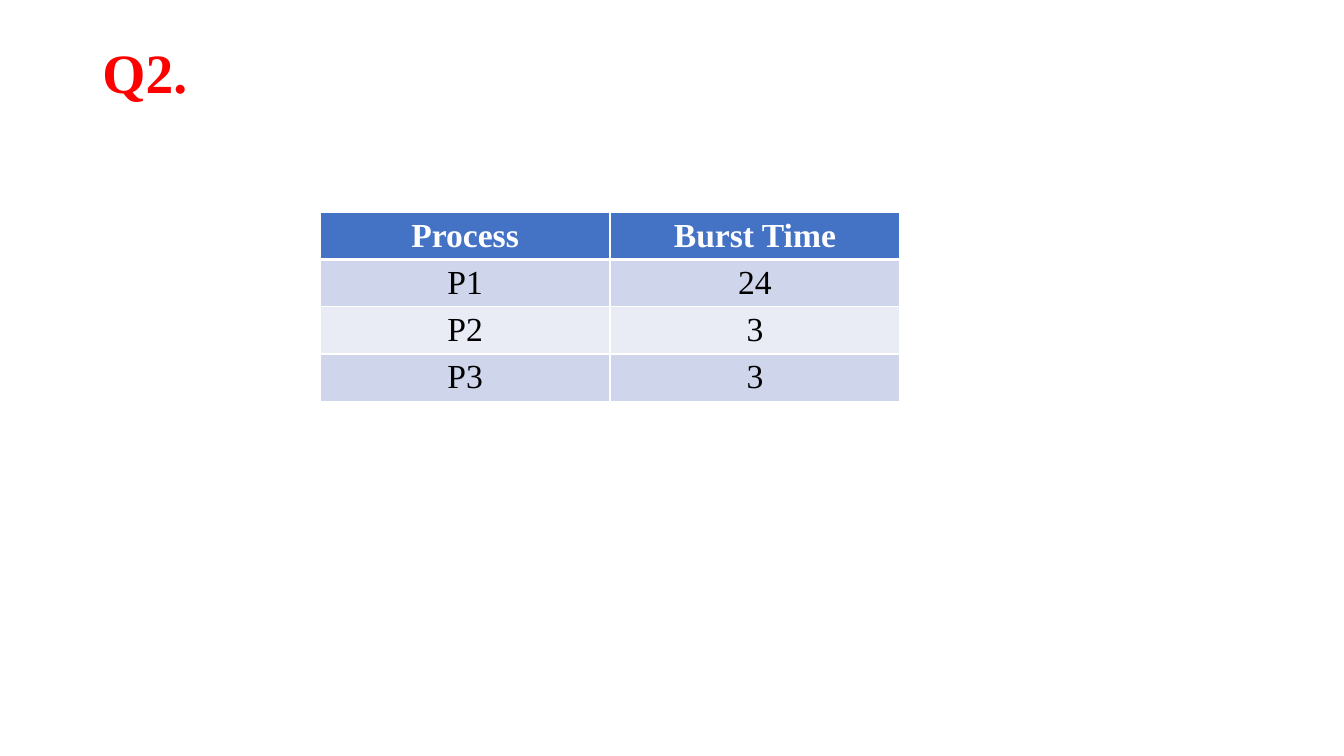
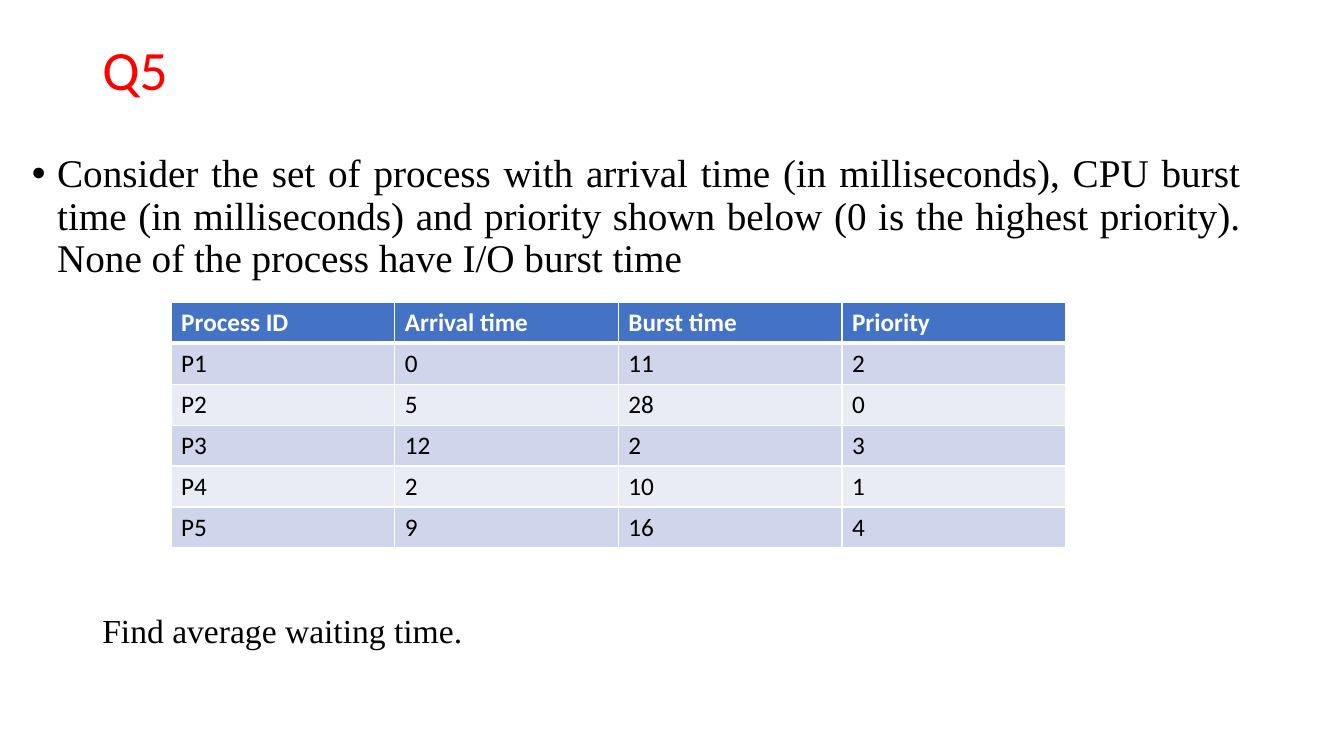
from dataclasses import dataclass

from lxml.etree import SubElement
from pptx import Presentation
from pptx.dml.color import RGBColor
from pptx.enum.text import MSO_ANCHOR, MSO_AUTO_SIZE, PP_ALIGN
from pptx.oxml.ns import qn
from pptx.util import Pt

PX = 9525  # EMU in one px, 96 px to the inch


@dataclass(frozen=True)
class Theme:
    serif: str = "Times New Roman"
    sans: str = "Calibri"
    title: str = "FF0000"
    text: str = "000000"
    header: str = "4472C4"
    header_text: str = "FFFFFF"
    rule: str = "FFFFFF"
    bands: tuple = ("CFD5EA", "E9EBF5")
    title_size: float = 39.6
    body_size: int = 28
    large_size: int = 24
    small_size: int = 18


T = Theme()


def write(tf, text, color, para=None, **font):
    """Fill the first paragraph of a text frame with one formatted run."""
    p = tf.paragraphs[0]
    for name, value in (para or {}).items():
        setattr(p, name, value)
    r = p.add_run()
    r.text = text
    for name, value in font.items():
        setattr(r.font, name, value)
    r.font.color.rgb = RGBColor.from_string(color)
    return p


def set_borders(cell, widths):
    """Rule the left, right, top and bottom sides; call before filling the cell."""
    tc_pr = cell._tc.get_or_add_tcPr()
    for side, width in zip("LRTB", widths):
        ln = SubElement(tc_pr, qn(f"a:ln{side}"), w=str(Pt(width)))
        SubElement(SubElement(ln, qn("a:solidFill")), qn("a:srgbClr"), val=T.rule)


questions = [
    dict(
        title="Q2.", title_height=67, font=T.serif, bold=True,
        table=dict(left=305, top=202, col=276, row=45, size=T.large_size, align=PP_ALIGN.CENTER),
        rows=[
            ("Process", "Burst Time"),
            ("P1", "24"),
            ("P2", "3"),
            ("P3", "3"),
        ],
        texts=[],
    ),
    dict(
        title="Q5", title_height=62, font=T.sans, bold=False,
        table=dict(left=163, top=288, col=213, row=39, size=T.small_size, align=PP_ALIGN.LEFT),
        rows=[
            ("Process ID", "Arrival time", "Burst time", "Priority"),
            ("P1", "0", "11", "2"),
            ("P2", "5", "28", "0"),
            ("P3", "12", "2", "3"),
            ("P4", "2", "10", "1"),
            ("P5", "9", "16", "4"),
        ],
        texts=[
            dict(
                box=(21, 142, 1170, 507), size=T.body_size, bullet=True,
                para=dict(alignment=PP_ALIGN.JUSTIFY, line_spacing=0.9, space_before=Pt(10)),
                text="Consider the set of process with arrival time (in milliseconds), "
                     "CPU burst time (in milliseconds) and priority shown below "
                     "(0 is the highest priority). None of the process have I/O burst time",
            ),
            dict(
                box=(88, 576, 773, 48), size=T.large_size, bullet=False, para={},
                text="Find average waiting time.",
            ),
        ],
    ),
]

prs = Presentation()
prs.slide_width, prs.slide_height = 1280 * PX, 720 * PX
title_only = prs.slide_layouts[5]

for q in questions:
    s = prs.slides.add_slide(title_only)

    title = s.shapes.title
    place = dict(left=88, top=38, width=1104, height=q["title_height"])
    for name, value in place.items():
        setattr(title, name, value * PX)
    tf = title.text_frame
    frame = dict(word_wrap=True, auto_size=MSO_AUTO_SIZE.NONE, vertical_anchor=MSO_ANCHOR.MIDDLE)
    for name, value in frame.items():
        setattr(tf, name, value)
    write(tf, q["title"], T.title, dict(alignment=PP_ALIGN.LEFT, line_spacing=0.9),
          name=q["font"], size=Pt(T.title_size), bold=q["bold"])

    for item in q["texts"]:
        sp = s.shapes.add_textbox(*(v * PX for v in item["box"]))
        sp.text_frame.word_wrap = True
        p = write(sp.text_frame, item["text"], T.text, item["para"],
                  name=T.serif, size=Pt(item["size"]))
        if item["bullet"]:
            p_pr = p._p.get_or_add_pPr()
            p_pr.set("marL", str(24 * PX))
            p_pr.set("indent", str(-24 * PX))
            SubElement(p_pr, qn("a:buFont"), typeface="Arial")
            SubElement(p_pr, qn("a:buChar"), char="•")

    rows, fmt = q["rows"], q["table"]
    n_rows, n_cols = len(rows), len(rows[0])
    table = s.shapes.add_table(
        n_rows, n_cols, fmt["left"] * PX, fmt["top"] * PX,
        n_cols * fmt["col"] * PX, n_rows * fmt["row"] * PX).table
    for i, row in enumerate(rows):
        is_header = i == 0
        fill = T.header if is_header else T.bands[(i - 1) % 2]
        color = T.header_text if is_header else T.text
        borders = (1, 1, 3 if i == 1 else 1, 3 if is_header else 1)
        for j, text in enumerate(row):
            cell = table.cell(i, j)
            set_borders(cell, borders)
            cell.fill.solid()
            cell.fill.fore_color.rgb = RGBColor.from_string(fill)
            write(cell.text_frame, text, color, dict(alignment=fmt["align"]),
                  name=q["font"], size=Pt(fmt["size"]), bold=is_header)

prs.save("out.pptx")
